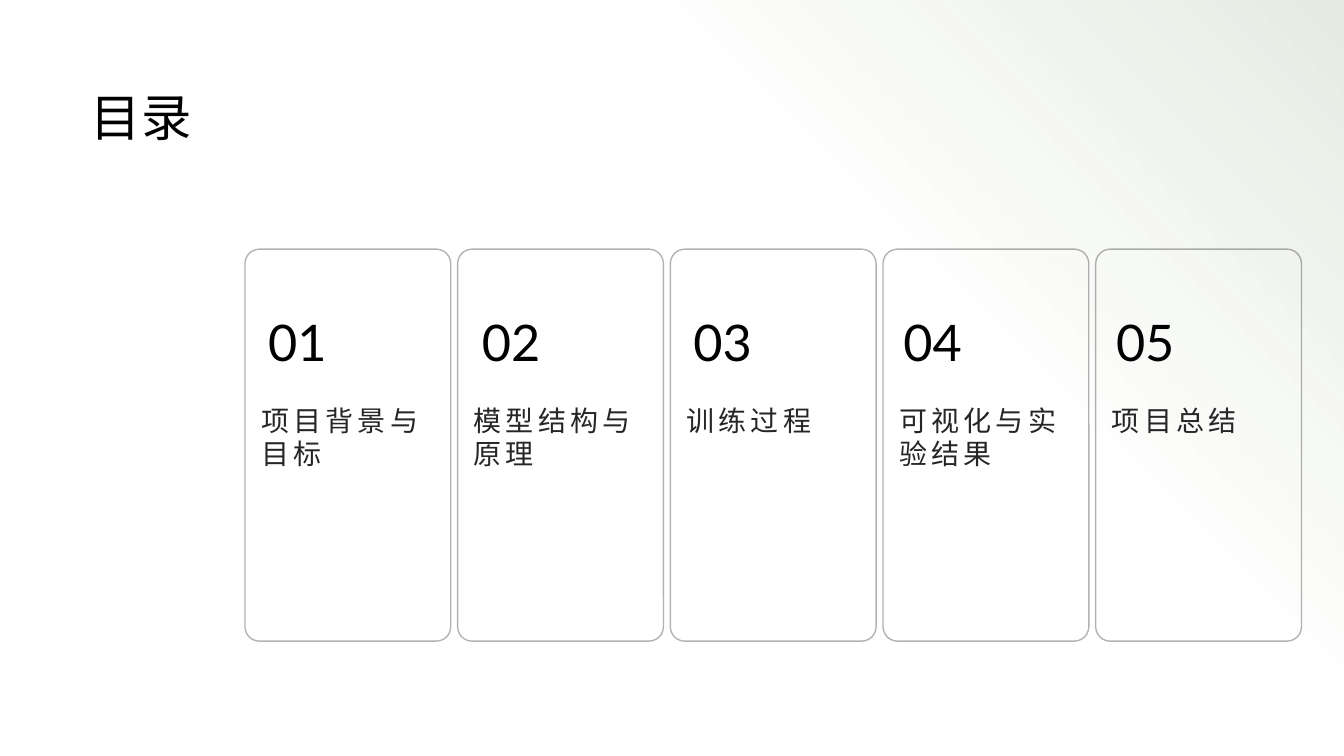
"""Build a contents slide with five numbered outline cards."""
from dataclasses import dataclass

from lxml import etree
from pptx import Presentation
from pptx.dml.color import RGBColor
from pptx.enum.shapes import MSO_SHAPE
from pptx.enum.text import MSO_ANCHOR
from pptx.oxml import parse_xml
from pptx.oxml.ns import nsdecls, qn
from pptx.util import Pt

RECTANGLE = MSO_SHAPE.RECTANGLE
ROUNDED = MSO_SHAPE.ROUNDED_RECTANGLE
TOP = MSO_ANCHOR.TOP
MIDDLE = MSO_ANCHOR.MIDDLE
FONT = "Lato"
BLACK = "000000"
DARK_GREY = "262626"
CARD_LEFT, CARD_TOP, CARD_PITCH = 175, 178, 151.92
CARD_WIDTH, CARD_HEIGHT = 147, 280


@dataclass(frozen=True)
class Section:
    heading: str
    number_inset: float


@dataclass(frozen=True)
class TextStyle:
    size: float
    color: str
    anchor: MSO_ANCHOR
    spacing: float = 0


HEADLINE = TextStyle(36, BLACK, MIDDLE)
BODY = TextStyle(20, DARK_GREY, TOP, 3)
SECTIONS = [
    Section("项目背景与目标", 16.5),
    Section("模型结构与原理", 17.25),
    Section("训练过程", 16.5),
    Section("可视化与实验结果", 14.5),
    Section("项目总结", 14.5),
]


def color(value: str) -> RGBColor:
    return RGBColor.from_string(value)


def add_text(page, text: str, left: float, top: float, width: float,
             height: float, style: TextStyle) -> None:
    box = page.shapes.add_textbox(Pt(left), Pt(top), Pt(width), Pt(height))
    frame = box.text_frame
    frame.word_wrap = True
    frame.vertical_anchor = style.anchor
    frame.margin_left = frame.margin_right = Pt(0)
    frame.margin_top = frame.margin_bottom = Pt(0)
    frame.text = text
    span = frame.paragraphs[0].runs[0]
    span.font.name = FONT
    span.font.size = Pt(style.size)
    span.font.color.rgb = color(style.color)
    if style.spacing:
        span.font._element.set("spc", str(round(style.spacing * 100)))


def add_corner_glow(page) -> None:
    glow = page.shapes.add_shape(RECTANGLE, Pt(447), Pt(0), Pt(513), Pt(540))
    glow.shadow.inherit = False
    glow.line.fill.background()
    glow.fill.background()
    gradient = parse_xml(
        f'<a:gradFill {nsdecls("a")} rotWithShape="1"><a:gsLst>'
        '<a:gs pos="0"><a:srgbClr val="3F6128"><a:alpha val="13000"/></a:srgbClr></a:gs>'
        '<a:gs pos="47000"><a:srgbClr val="548235"><a:alpha val="0"/></a:srgbClr></a:gs>'
        '</a:gsLst><a:path path="circle"><a:fillToRect l="100000" b="100000"/></a:path>'
        '</a:gradFill>')
    properties = glow._element.spPr
    properties.replace(properties.find(qn("a:noFill")), gradient)


def add_card(page, left: float) -> None:
    card = page.shapes.add_shape(ROUNDED, Pt(left), Pt(CARD_TOP),
                                 Pt(CARD_WIDTH), Pt(CARD_HEIGHT))
    card.adjustments[0] = 0.07
    card.shadow.inherit = False
    card.fill.background()
    card.line.width = Pt(1)
    card.line.color.rgb = color(BLACK)
    stroke = card._element.spPr.find(qn("a:ln")).find(".//" + qn("a:srgbClr"))
    etree.SubElement(stroke, qn("a:alpha")).set("val", "30000")


def add_section(page, index: int, section: Section) -> None:
    left = CARD_LEFT + index * CARD_PITCH
    add_card(page, left)
    add_text(page, f"{index + 1:02}", left + section.number_inset, 217.5,
             122, 53, HEADLINE)
    add_text(page, section.heading, left + 11.5, 288, 125, 138, BODY)


def main() -> None:
    deck = Presentation()
    deck.slide_width, deck.slide_height = Pt(960), Pt(540)
    page = deck.slides.add_slide(deck.slide_layouts[6])
    add_corner_glow(page)
    add_text(page, "目录", 65, 57.5, 807, 51, HEADLINE)
    for index, section in enumerate(SECTIONS):
        add_section(page, index, section)
    deck.save("out.pptx")


if __name__ == "__main__":
    main()
